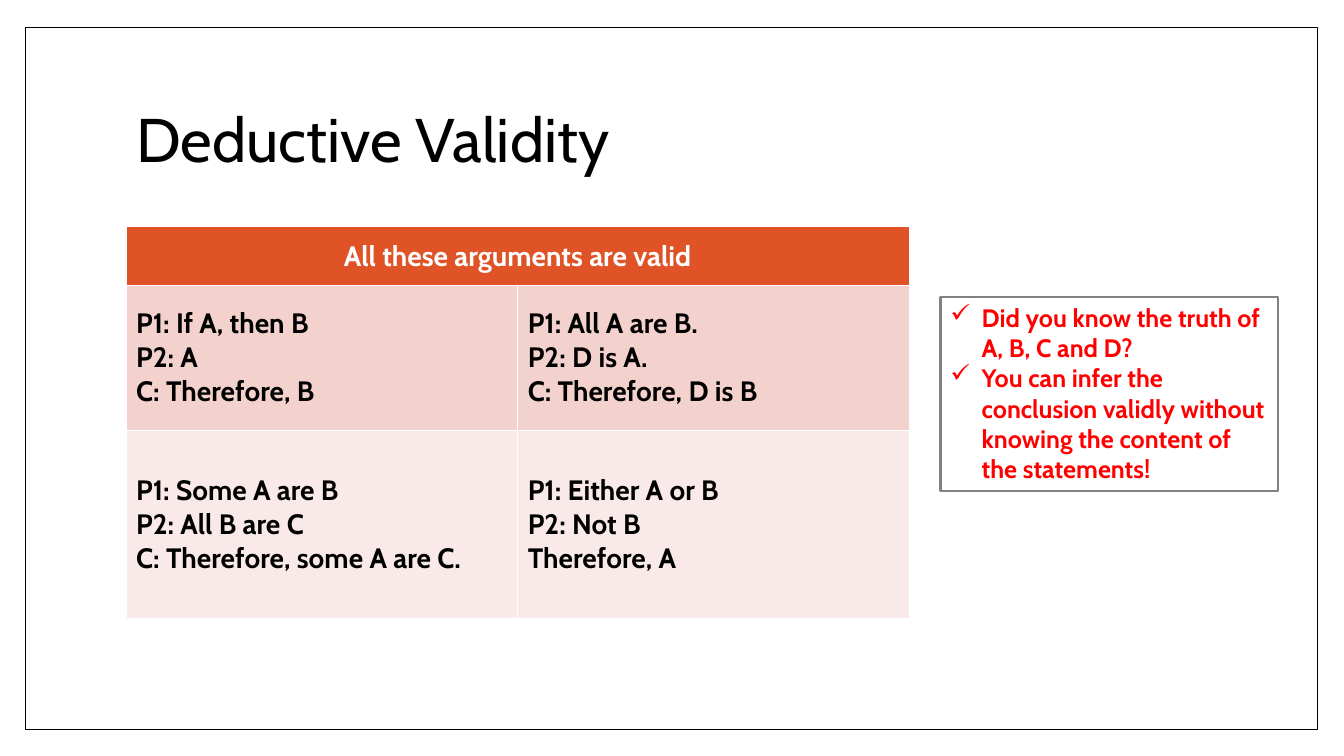
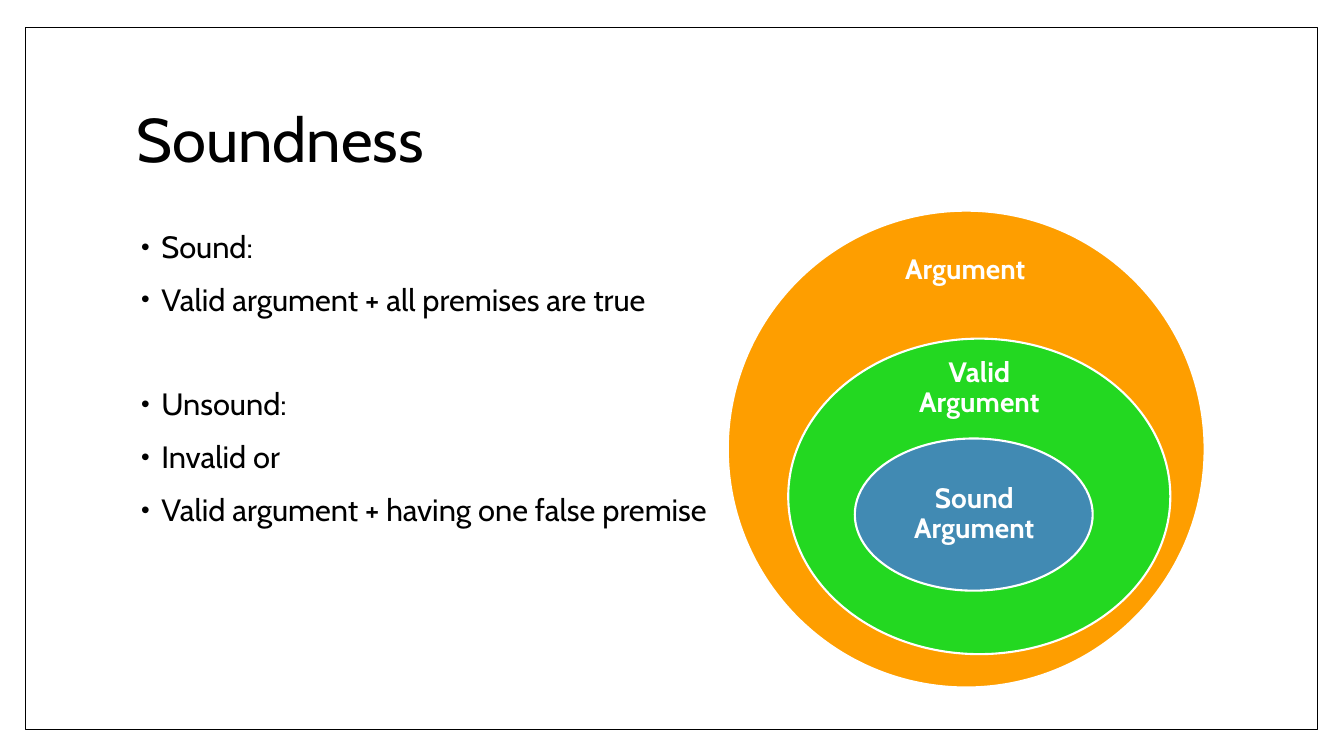
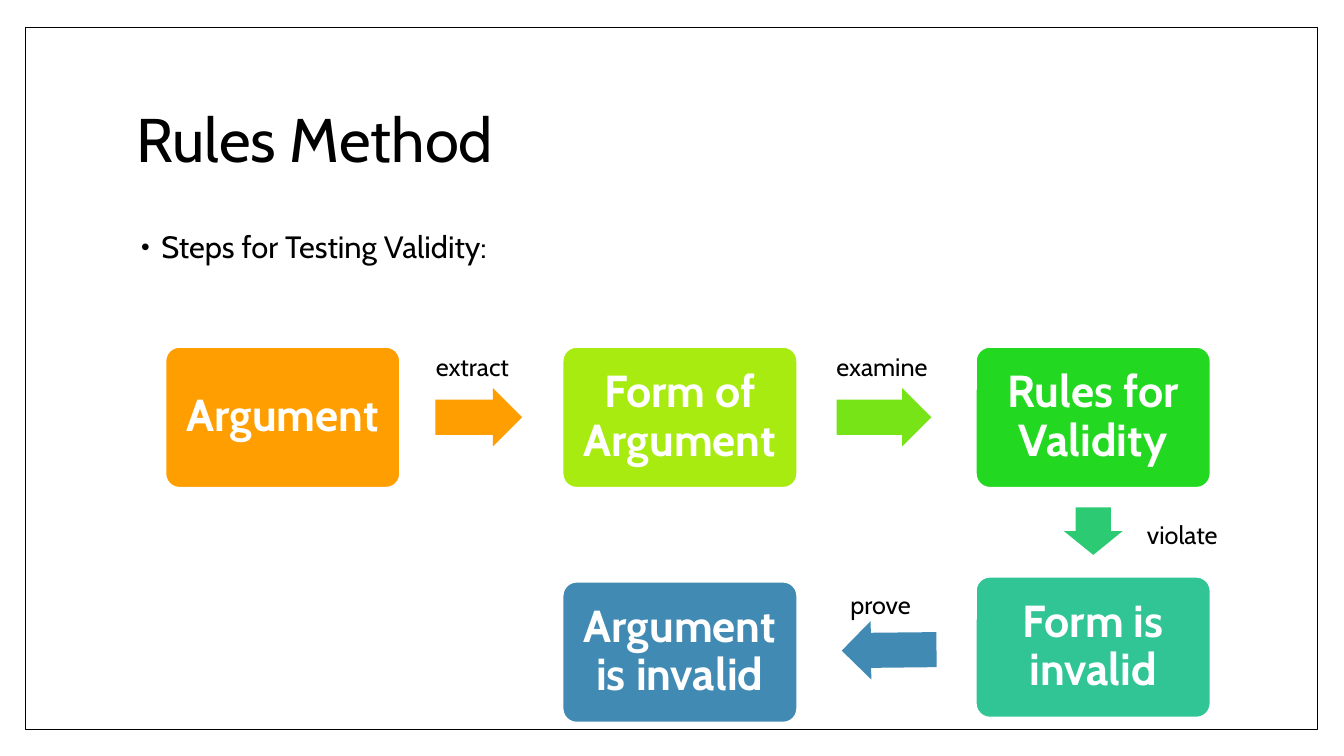
from lxml import etree
from pptx import Presentation
from pptx import util as u
from pptx.dml.color import RGBColor
from pptx.enum import shapes, text
from pptx.oxml import ns

FONT = "Cabin"
WIDTH, HEIGHT = u.Inches(13.33), u.Inches(7.5)
BLACK = RGBColor(0x00, 0x00, 0x00)
WHITE = RGBColor(0xFF, 0xFF, 0xFF)
RED = RGBColor(0xFF, 0x00, 0x00)
GREY = RGBColor(0x81, 0x81, 0x83)
RUST = RGBColor(0xDF, 0x53, 0x27)
ROSE = RGBColor(0xF3, 0xD1, 0xCD)
BLUSH = RGBColor(0xF9, 0xE9, 0xE8)
ORANGE = RGBColor(0xFE, 0x9E, 0x00)
LIME = RGBColor(0xA8, 0xEB, 0x11)
LEAF = RGBColor(0x76, 0xE4, 0x16)
GREEN = RGBColor(0x23, 0xD8, 0x21)
JADE = RGBColor(0x2C, 0xCB, 0x73)
TEAL = RGBColor(0x31, 0xC5, 0x95)
BLUE = RGBColor(0x41, 0x8A, 0xB3)

MSO = shapes.MSO_SHAPE
LEFT, CENTER = text.PP_ALIGN.LEFT, text.PP_ALIGN.CENTER
TOP, MIDDLE = text.MSO_ANCHOR.TOP, text.MSO_ANCHOR.MIDDLE

MARGIN, CONTENT_W, BODY_TOP = 9.38, 81, 30
STEP_COLS = (12.3, 41.85, 72.6)
STEP_ROWS = (45.87, 76.27, 76.93)
STEP_W, STEP_H, ARROW_H = 17.48, 18.67, 7.73
LABEL_W, LABEL_H = 9.53, 5.33


def share(x, y, w, h):
    """Turn percentages of the slide's size into lengths."""
    return [u.Emu(int(side * part / 100))
            for side, part in zip((WIDTH, HEIGHT, WIDTH, HEIGHT), (x, y, w, h))]


def write(tf, lines, size, color=BLACK, bold=False, align=LEFT, spacing=None):
    """Fill a text frame with one styled run per paragraph."""
    for i, line in enumerate(lines):
        p = tf.add_paragraph() if i else tf.paragraphs[0]
        p.alignment, p.line_spacing = align, spacing
        r = p.add_run()
        r.text = line
        f = r.font
        f.name, f.size, f.bold, f.color.rgb = FONT, u.Pt(size), bold, color


def set_frame(tf, anchor, inset=None):
    """Wrap a text frame and set its anchor and equal insets."""
    tf.word_wrap, tf.vertical_anchor = True, anchor
    tf.auto_size = text.MSO_AUTO_SIZE.NONE
    if inset is not None:
        tf.margin_left = tf.margin_right = u.Inches(inset)
        tf.margin_top = tf.margin_bottom = u.Inches(inset)


def add_bullet(p, char, indent, hanging, color, percent):
    """Give a paragraph a hanging bullet."""
    pPr = p._p.get_or_add_pPr()
    pPr.set("marL", str(u.Inches(indent)))
    pPr.set("indent", str(-u.Inches(hanging)))
    clr = etree.SubElement(pPr, ns.qn("a:buClr"))
    etree.SubElement(clr, ns.qn("a:srgbClr"), val=str(color))
    etree.SubElement(pPr, ns.qn("a:buSzPct"), val=str(percent * 1000))
    etree.SubElement(pPr, ns.qn("a:buChar"), char=char)


def add_figure(s, kind, box, fill, line=None, width=1.5):
    """Add a flat preset shape."""
    sp = s.shapes.add_shape(kind, *share(*box))
    sp.shadow.inherit = False
    sp.fill.solid()
    sp.fill.fore_color.rgb = fill
    if line is None:
        sp.line.fill.background()
    else:
        sp.line.color.rgb, sp.line.width = line, u.Pt(width)
    return sp


def add_label(s, box, label, size=18, color=BLACK, bold=False, align=CENTER,
              anchor=TOP, inset=None, spacing=None):
    """Add a text box with one short label."""
    tf = s.shapes.add_textbox(*share(*box)).text_frame
    set_frame(tf, anchor, inset)
    write(tf, [label], size, color, bold, align, spacing)


def add_ring(s, box, fill, label_box, label):
    """Add one ellipse of the nested diagram and its label."""
    add_figure(s, MSO.OVAL, box, fill, WHITE)
    add_label(s, label_box, label, 20, WHITE, True, anchor=MIDDLE, inset=0.16, spacing=0.9)


def add_step(s, col, row, fill, label):
    """Add a rounded step box at a column and row of the flow."""
    box = (STEP_COLS[col], STEP_ROWS[row], STEP_W, STEP_H)
    sp = add_figure(s, MSO.ROUNDED_RECTANGLE, box, fill, WHITE)
    sp.adjustments[0] = 0.1
    set_frame(sp.text_frame, MIDDLE, 0.13)
    write(sp.text_frame, [label], 32, WHITE, True, CENTER, 0.9)


def add_arrow(s, x, y, w, fill, rotation=0):
    """Add a block arrow between two steps."""
    sp = add_figure(s, MSO.RIGHT_ARROW, (x, y, w, ARROW_H), fill)
    sp.adjustments[0], sp.adjustments[1] = 0.6, 0.5
    sp.rotation = rotation


def add_arguments(s, header, rows):
    """Add the table of arguments under a merged header."""
    heights = (7.73, 19.2, 24.93)
    box = share(MARGIN, BODY_TOP, 58.28, sum(heights))
    table = s.shapes.add_table(len(heights), 2, *box).table
    for row, height in zip(table.rows, heights):
        row.height = int(HEIGHT * height / 100)
    table.cell(0, 0).merge(table.cell(0, 1))
    body = [(ROSE, BLACK, LEFT), (BLUSH, BLACK, LEFT)]
    styles = [(RUST, WHITE, CENTER)] + body
    for r, (cells, style) in enumerate(zip([([header], [])] + rows, styles)):
        fill, color, align = style
        for c, lines in enumerate(cells):
            cell = table.cell(r, c)
            cell.fill.solid()
            cell.fill.fore_color.rgb = fill
            cell.vertical_anchor = MIDDLE
            write(cell.text_frame, lines, 20, color, True, align)


def add_callout(s, lines):
    """Add the outlined box of ticked remarks."""
    sp = add_figure(s, MSO.RECTANGLE, (69.98, 39.33, 25.12, 25.6), WHITE, GREY)
    set_frame(sp.text_frame, TOP)
    write(sp.text_frame, lines, 18, RED, True)
    for p in sp.text_frame.paragraphs:
        add_bullet(p, "✓", 0.31, 0.31, RED, 100)


def place(sp, box, anchor):
    """Move a placeholder and prepare its text frame."""
    sp.left, sp.top, sp.width, sp.height = share(*box)
    set_frame(sp.text_frame, anchor)


def new_slide(prs, title, bullets=(), group_starts=()):
    """Add a slide with a title and, if given, a bulleted list."""
    s = prs.slides.add_slide(prs.slide_layouts[1 if bullets else 5])
    place(s.shapes.title, (MARGIN, 8.93, CONTENT_W, 19.73), MIDDLE)
    write(s.shapes.title.text_frame, [title], 44, spacing=0.9)
    if bullets:
        body = s.placeholders[1]
        place(body, (MARGIN, BODY_TOP, CONTENT_W, 58.93), TOP)
        write(body.text_frame, bullets, 22, spacing=0.9)
        for i, p in enumerate(body.text_frame.paragraphs):
            p.space_before = u.Pt(51 if i in group_starts else 14)
            add_bullet(p, "•", 0.25, 0.2, BLACK, 80)
    return s


def frame_master(prs, s):
    """Move a thin page frame from a slide to the master."""
    sp = add_figure(s, MSO.RECTANGLE, (1.88, 3.6, 96.15, 92.93), WHITE, BLACK, 1)
    prs.slide_master.shapes.element.insert(2, sp.element)


def validity(prs):
    """Build the slide on deductive validity."""
    s = new_slide(prs, "Deductive Validity")
    frame_master(prs, s)
    add_arguments(s, "All these arguments are valid", [
        (["P1: If A, then B", "P2: A", "C: Therefore, B"],
         ["P1: All A are B.", "P2: D is A.", "C: Therefore, D is B"]),
        (["P1: Some A are B", "P2: All B are C", "C: Therefore, some A are C."],
         ["P1: Either A or B", "P2: Not B", "Therefore, A"]),
    ])
    add_callout(s, [
        "Did you know the truth of A, B, C and D?",
        "You can infer the conclusion validly without knowing the content of the statements!",
    ])


def soundness(prs):
    """Build the slide on soundness."""
    s = new_slide(prs, "Soundness", [
        "Sound:", "Valid argument + all premises are true",
        "Unsound:", "Invalid or", "Valid argument + having one false premise",
    ], group_starts=(2,))
    for ring in (
        ((54.15, 27.87, 35.48, 63.07), ORANGE, (65.63, 31.07, 12.38, 9.47), "Argument"),
        ((58.65, 44.8, 28.43, 41.73), GREEN, (66.23, 47.47, 13.28, 7.87), "Valid Argument"),
        ((63.6, 58, 17.7, 20.13), BLUE, (66.23, 63.07, 12.53, 10), "Sound Argument"),
    ):
        add_ring(s, *ring)


def rules_method(prs):
    """Build the slide on the rules method."""
    s = new_slide(prs, "Rules Method", ["Steps for Testing Validity:"])
    for step in (
        (0, 0, ORANGE, "Argument"),
        (1, 0, LIME, "Form of Argument"),
        (2, 0, GREEN, "Rules for Validity"),
        (2, 1, TEAL, "Form is invalid"),
        (1, 2, BLUE, "Argument is invalid"),
    ):
        add_step(s, *step)
    for arrow in (
        (32.4, 51.33, 6.45, ORANGE),
        (62.25, 51.33, 7.05, LEAF),
        (79.58, 66.4, 3.53, JADE, 90),
        (62.63, 82.13, 7.05, BLUE, 179.4),
    ):
        add_arrow(s, *arrow)
    for x, y, w, label, align in (
        (30.38, STEP_ROWS[0], LABEL_W, "extract", CENTER),
        (60.45, STEP_ROWS[0], 10.35, "examine", CENTER),
        (84.6, 68, LABEL_W, "violate", LEFT),
        (60.75, 77.33, LABEL_W, "prove", CENTER),
    ):
        add_label(s, (x, y, w, LABEL_H), label, align=align)


def main():
    """Build and save the presentation."""
    prs = Presentation()
    prs.slide_width, prs.slide_height = WIDTH, HEIGHT
    validity(prs)
    soundness(prs)
    rules_method(prs)
    prs.save("out.pptx")


if __name__ == "__main__":
    main()
